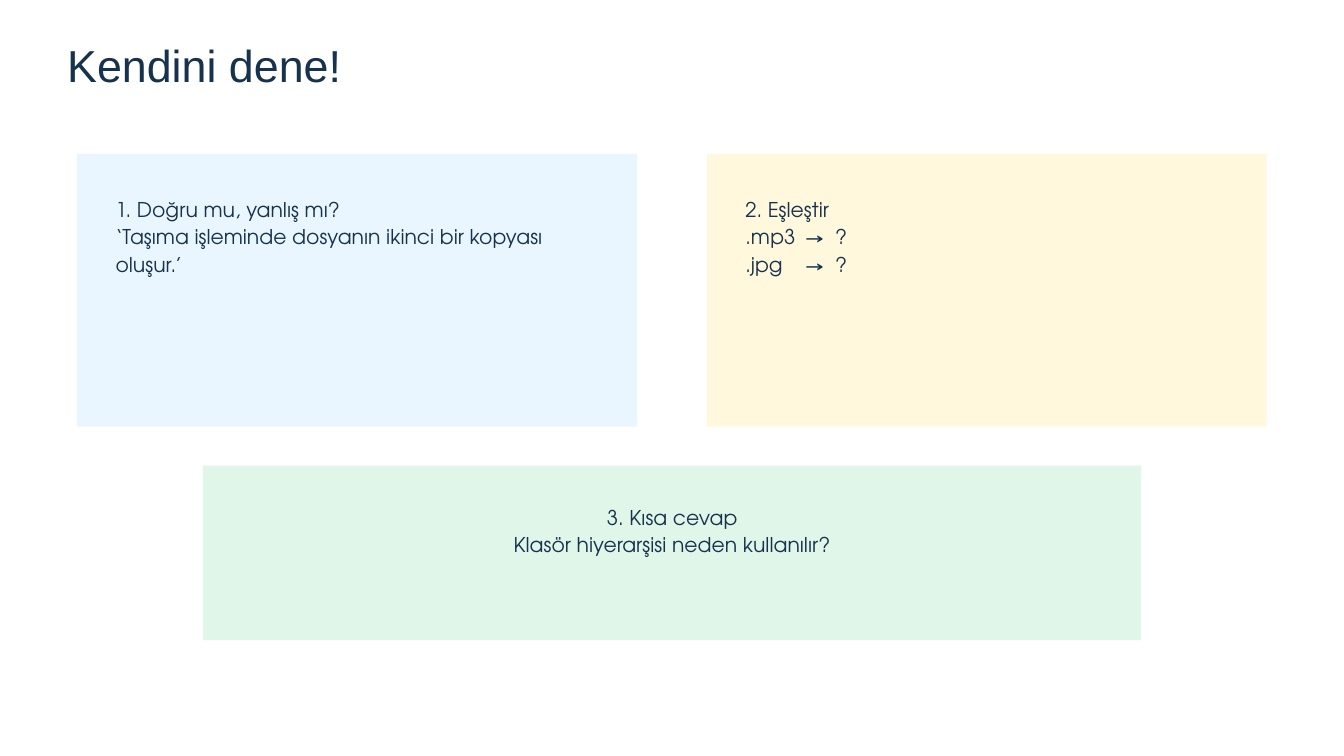
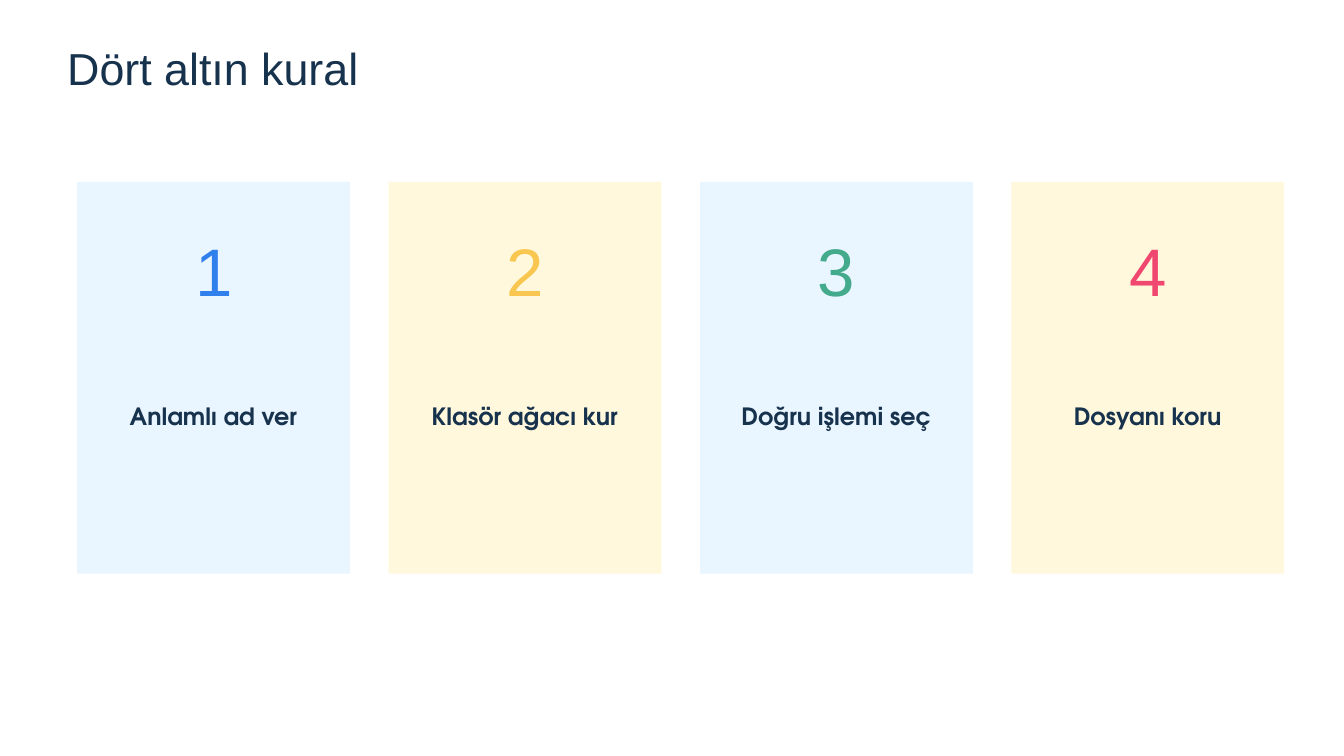
from lxml.etree import SubElement
from pptx import Presentation
from pptx.dml.color import RGBColor
from pptx.enum.shapes import MSO_SHAPE
from pptx.enum.text import MSO_ANCHOR, MSO_AUTO_SIZE, PP_ALIGN
from pptx.oxml.ns import qn
from pptx.util import Cm, Pt

COLORS = {
    "ink": "17324D", "sky": "EAF6FF", "cream": "FFF8DC", "mint": "DFF6E8",
    "blue": "2F80ED", "gold": "F9C74F", "green": "43AA8B", "pink": "EF476F",
}
HEAD, BODY = "Arial", "TeX Gyre Adventor"
LEFT = 2.92  # left edge of the card grid


def color(name):
    return RGBColor.from_string(COLORS[name])


def write(frame, text, size=21.8, font=BODY, ink="ink", bold=False,
          align=PP_ALIGN.LEFT, lead=29.4, tabs=()):
    """Fill a text frame, one paragraph per line of text."""
    frame.word_wrap = True
    frame.auto_size = MSO_AUTO_SIZE.SHAPE_TO_FIT_TEXT
    frame.vertical_anchor = MSO_ANCHOR.TOP
    frame.margin_left = frame.margin_right = 0
    frame.margin_top = frame.margin_bottom = 0
    for i, line in enumerate(text.split("\n")):
        par = frame.paragraphs[0] if i == 0 else frame.add_paragraph()
        if tabs and "\t" in line:
            stops = SubElement(par._p.get_or_add_pPr(), qn("a:tabLst"))
            for stop in tabs:
                SubElement(stops, qn("a:tab"), pos=str(Cm(stop)), algn="l")
        par.alignment = align
        par.line_spacing = Pt(lead)
        par.space_before = Pt(0)
        run = par.add_run()
        run.text = line
        run.font.size = Pt(size)
        run.font.name = font
        run.font.bold = bold
        run.font.color.rgb = color(ink)


class Deck:
    def __init__(self):
        self.file = Presentation()
        self.file.slide_width = Cm(50.8)
        self.file.slide_height = Cm(28.58)
        self.slide = None
        self.group = None

    def page(self, title, top, width):
        """Start a slide with its title."""
        self.slide = self.file.slides.add_slide(self.file.slide_layouts[5])
        box = self.slide.shapes.title
        box.left, box.top = Cm(2.54), Cm(top)
        box.width, box.height = Cm(width), Cm(1.8)
        write(box.text_frame, title, size=48, font=HEAD, lead=50.4)

    def card(self, x, y, w, h, fill):
        """Start a group on a plain coloured panel."""
        self.group = self.slide.shapes.add_group_shape()
        panel = self.group.shapes.add_shape(
            MSO_SHAPE.RECTANGLE, Cm(x), Cm(y), Cm(w), Cm(h))
        panel.shadow.inherit = False
        panel.fill.solid()
        panel.fill.fore_color.rgb = color(fill)
        panel.line.fill.background()

    def text(self, x, y, w, h, text, **style):
        """Add text to the current card."""
        box = self.group.shapes.add_textbox(Cm(x), Cm(y), Cm(w), Cm(h))
        write(box.text_frame, text, **style)


def quiz(deck):
    deck.page("Kendini dene!", 1.68, 23.83)
    top, wide, high = 5.82, 21.16, 10.31

    # Two questions side by side
    pair = [
        (LEFT, "sky", 18.26, 2.03, "1. Doğru mu, yanlış mı?\n"
         "‘Taşıma işleminde dosyanın ikinci bir kopyası oluşur.’"),
        (26.72, "cream", 17.2, 3.05, "2. Eşleştir\n.mp3\t→\t?\n.jpg\t→\t?"),
    ]
    for x, fill, w, h, text in pair:
        deck.card(x, top, wide, high, fill)
        deck.text(x + 1.45, top + 1.52, w, h, text, tabs=(2.25, 3.4))

    # Short answer below
    deck.card(7.67, 17.6, 35.46, 6.6, "mint")
    deck.text(9.27, 18.97, 32.28, 2.03,
              "3. Kısa cevap\nKlasör hiyerarşisi neden kullanılır?",
              align=PP_ALIGN.CENTER)


def rules(deck):
    deck.page("Dört altın kural", 1.8, 31.75)
    top, wide, high, step = 6.88, 10.31, 14.81, 11.77
    items = [("Anlamlı ad ver", "blue"), ("Klasör ağacı kur", "gold"),
             ("Doğru işlemi seç", "green"), ("Dosyanı koru", "pink")]

    # Numbered cards in alternating colours
    for i, (label, ink) in enumerate(items):
        x = LEFT + i * step
        deck.card(x, top, wide, high, ("sky", "cream")[i % 2])
        deck.text(x + 2.77, 8.18, 4.78, 3.33, str(i + 1), size=72, font=HEAD,
                  ink=ink, lead=100.8, align=PP_ALIGN.CENTER)
        deck.text(x + 1.05, 14.99, 8.2, 1.17, label, size=25.5, bold=True,
                  lead=35.7, align=PP_ALIGN.CENTER)


def main():
    deck = Deck()
    quiz(deck)
    rules(deck)
    deck.file.save("out.pptx")


if __name__ == "__main__":
    main()
